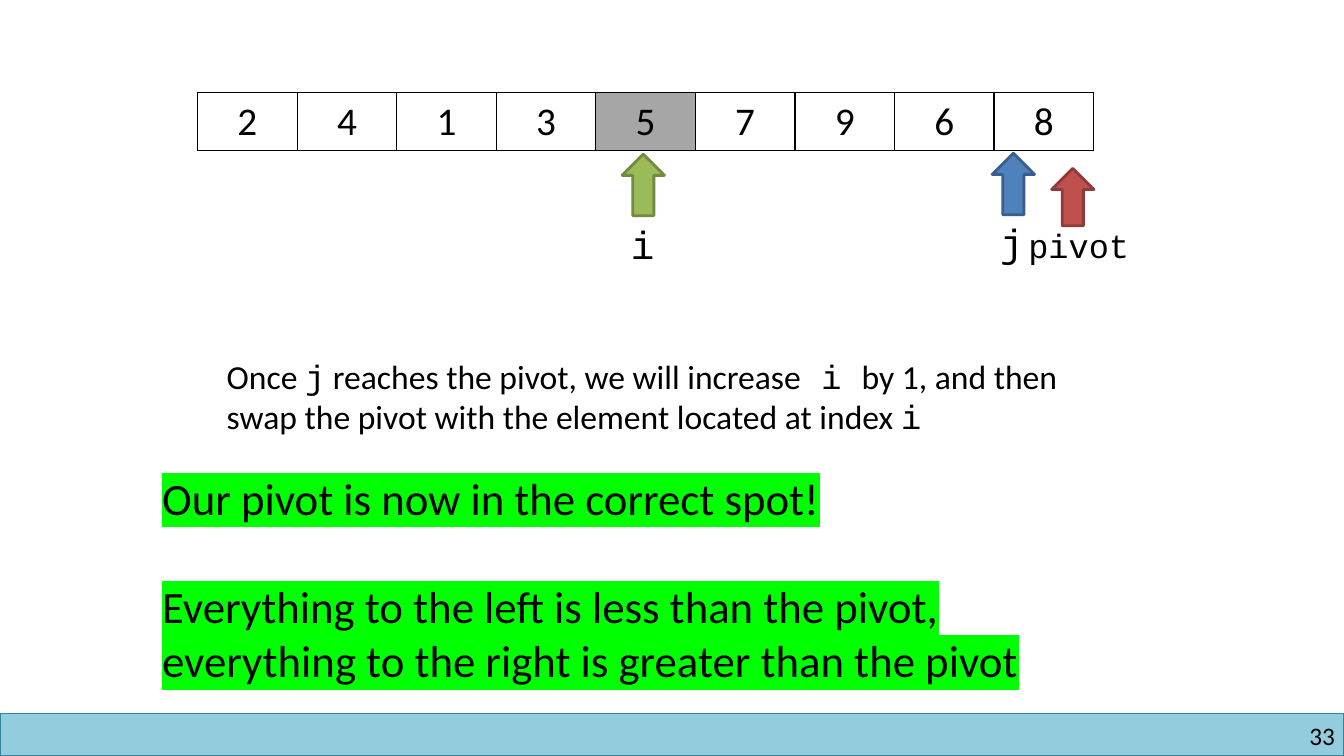
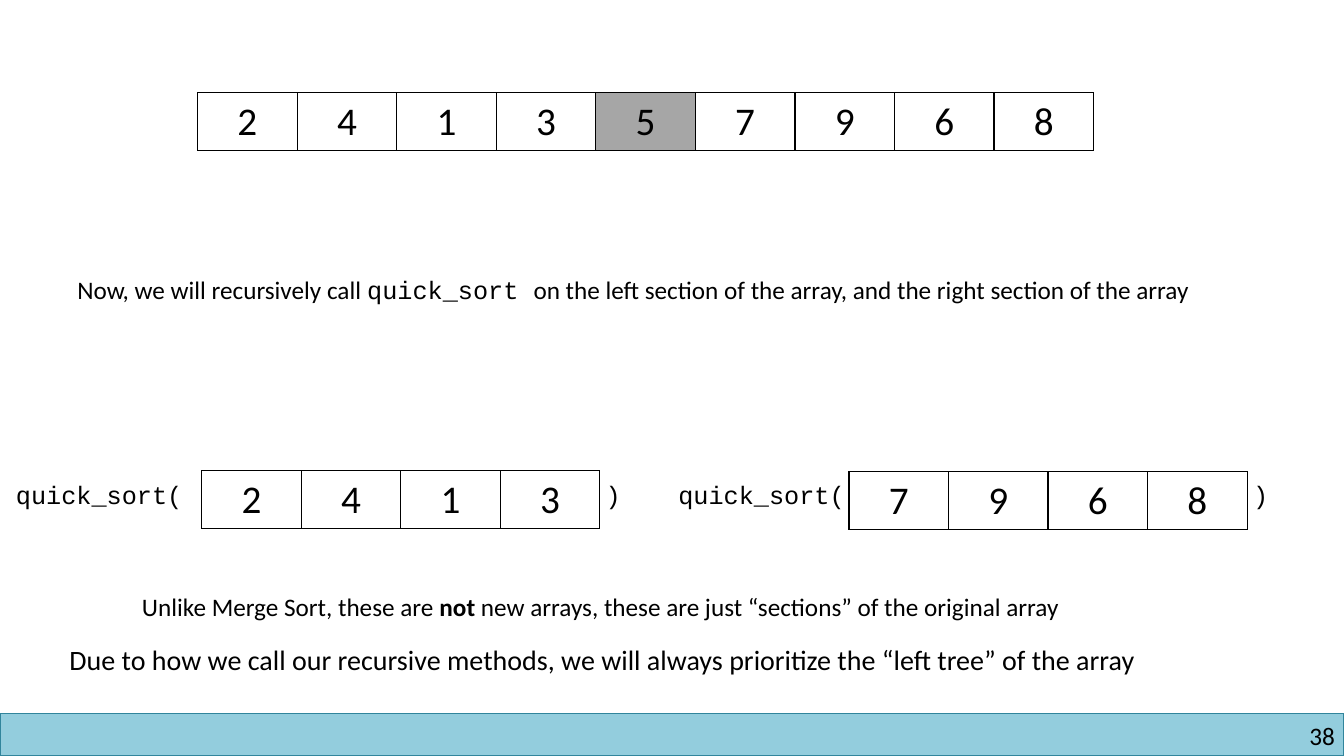
from lxml import etree
from pptx import Presentation
from pptx.dml.color import RGBColor
from pptx.enum.shapes import MSO_SHAPE
from pptx.enum.text import PP_ALIGN
from pptx.oxml.ns import qn
from pptx.util import Pt

RECTANGLE, UP_ARROW = MSO_SHAPE.RECTANGLE, MSO_SHAPE.UP_ARROW
LEFT, CENTER, RIGHT = PP_ALIGN.LEFT, PP_ALIGN.CENTER, PP_ALIGN.RIGHT

# Shared style: 100 px to the inch
PX = 9144
PAGE_W, PAGE_H = 1333, 750
BODY, MONO = "Calibri", "Courier New"
BLACK, WHITE, GREY, LIME = "000000", "FFFFFF", "A6A6A6", "00FF00"
BAND_FILL, BAND_LINE, BAND_TOP = "93CDDD", "31859C", 708
ROW_H = 57

# Content. A span is plain text, or (text, style) with style "mono" or "bold".
# Array: left, top, width, values, shaded index
SORTED_ARRAY = (196, 92, 889, "241357968", 4)

SLIDES = [
    {
        "number": "33",
        "arrays": [SORTED_ARRAY],
        # left, top, height, fill, line
        "arrows": [
            (1043, 167, 57, "C0504D", "8E3B39"),
            (984, 152, 61, "4F81BD", "3A5F8C"),
            (617, 153, 61, "9BBB59", "738A42"),
        ],
        # left, top, width, height, size, font, paragraphs
        "texts": [
            (1010, 218, 122, 50, 24, MONO, [["pivot"]]),
            (616, 214, 44, 57, 28, MONO, [["i"]]),
            (982, 212, 44, 57, 28, MONO, [["j"]]),
            (215, 348, 851, 91, 24, BODY, [[
                "Once ", ("j", "mono"),
                " reaches the pivot, we will increase", (" i ", "mono"),
                "by 1, and then swap the pivot with the element "
                "located at index ", ("i", "mono")]]),
        ],
        "highlights": [
            (151, 462, 949, 226, 32, BODY, [
                ["Our pivot is now in the correct spot!"],
                ["Everything to the left is less than the pivot, "
                 "everything to the right is greater than the pivot"]]),
        ],
    },
    {
        "number": "38",
        "arrays": [
            SORTED_ARRAY,
            (200, 467, 395, "2413", None),
            (842, 468, 395, "7968", None),
        ],
        "texts": [
            (67, 267, 1220, 40, 18, BODY, [[
                "Now, we will recursively call ", ("quick_sort ", "mono"),
                "on the left section of the array, "
                "and the right section of the array"]]),
            (131, 582, 1019, 40, 18, BODY, [[
                "Unlike Merge Sort, these are ", ("not ", "bold"),
                "new arrays, these are just “sections” "
                "of the original array"]]),
            (59, 633, 1162, 44, 20, BODY, [[
                "Due to how we call our recursive methods, we will always "
                "prioritize the “left tree” of the array"]]),
        ],
        # left, distance from the text start to the closing bracket
        "calls": [(6, 585), (663, 570)],
    },
]


def px(length):
    return round(length * PX)


def rgb(value):
    return RGBColor.from_string(value)


def add_solid(parent, tag, color, **attributes):
    """Append an XML element that holds a plain colour."""
    element = etree.SubElement(parent, qn(tag), attributes)
    if tag != "a:highlight":
        element = etree.SubElement(element, qn("a:solidFill"))
    etree.SubElement(element, qn("a:srgbClr"), val=color)


def style_paragraph(para, size, font=BODY, align=LEFT):
    para.alignment = align
    para.font.size = Pt(size)
    para.font.name = font
    para.font.color.rgb = rgb(BLACK)


def add_text(page, left, top, width, height, size, font, paragraphs,
             align=LEFT, inset=True, highlight=None, tab=None):
    box = page.shapes.add_textbox(px(left), px(top), px(width), px(height))
    frame = box.text_frame
    frame.word_wrap = True
    if not inset:
        frame.margin_left = frame.margin_right = 0
        frame.margin_top = frame.margin_bottom = 0
    for index, spans in enumerate(paragraphs):
        para = frame.add_paragraph() if index else frame.paragraphs[0]
        if index:
            para.space_before = Pt(39)
        if tab:
            stops = etree.SubElement(para._p.get_or_add_pPr(), qn("a:tabLst"))
            etree.SubElement(stops, qn("a:tab"), pos=str(px(tab)), algn="l")
        style_paragraph(para, size, font, align)
        for item in spans:
            text, style = (item, None) if isinstance(item, str) else item
            span = para.add_run()
            span.text = text
            if style == "mono":
                span.font.name = MONO
            elif style == "bold":
                span.font.bold = True
            if highlight:
                add_solid(span._r.get_or_add_rPr(), "a:highlight", highlight)


def add_block(page, preset, left, top, width, height, fill, line, weight):
    block = page.shapes.add_shape(
        preset, px(left), px(top), px(width), px(height))
    block.shadow.inherit = False
    block.fill.solid()
    block.fill.fore_color.rgb = rgb(fill)
    block.line.color.rgb = rgb(line)
    block.line.width = Pt(weight)


def add_array(page, left, top, width, values, shaded):
    count = len(values)
    table = page.shapes.add_table(
        1, count, px(left), px(top), px(width), px(ROW_H)).table
    table.first_row = table.horz_banding = False
    for index, value in enumerate(values):
        table.columns[index].width = px(width / count)
        cell = table.cell(0, index)
        borders = cell._tc.get_or_add_tcPr()
        for side in "LRTB":
            add_solid(borders, f"a:ln{side}", BLACK, w=str(Pt(1)))
        cell.fill.solid()
        cell.fill.fore_color.rgb = rgb(GREY if index == shaded else WHITE)
        para = cell.text_frame.paragraphs[0]
        para.add_run().text = value
        style_paragraph(para, 28, align=CENTER)


def add_footer(page, number):
    add_block(page, RECTANGLE, 0, BAND_TOP, PAGE_W, PAGE_H - BAND_TOP,
              BAND_FILL, BAND_LINE, 1)
    add_text(page, 1017, 715, 307, 30, 18, BODY, [[number]],
             align=RIGHT, inset=False)


def build_slide(deck, content):
    page = deck.slides.add_slide(deck.slide_layouts[6])
    add_footer(page, content["number"])
    for array in content["arrays"]:
        add_array(page, *array)
    for left, top, height, fill, line in content.get("arrows", []):
        add_block(page, UP_ARROW, left, top, 42, height, fill, line, 2)
    for text in content["texts"]:
        add_text(page, *text)
    for text in content.get("highlights", []):
        add_text(page, *text, highlight=LIME)
    for left, closing in content.get("calls", []):
        add_text(page, left, 471, 670, 40, 18, MONO, [["quick_sort(\t)"]],
                 tab=closing)


def main():
    deck = Presentation()
    deck.slide_width, deck.slide_height = px(PAGE_W), px(PAGE_H)
    for content in SLIDES:
        build_slide(deck, content)
    deck.save("out.pptx")


if __name__ == "__main__":
    main()
